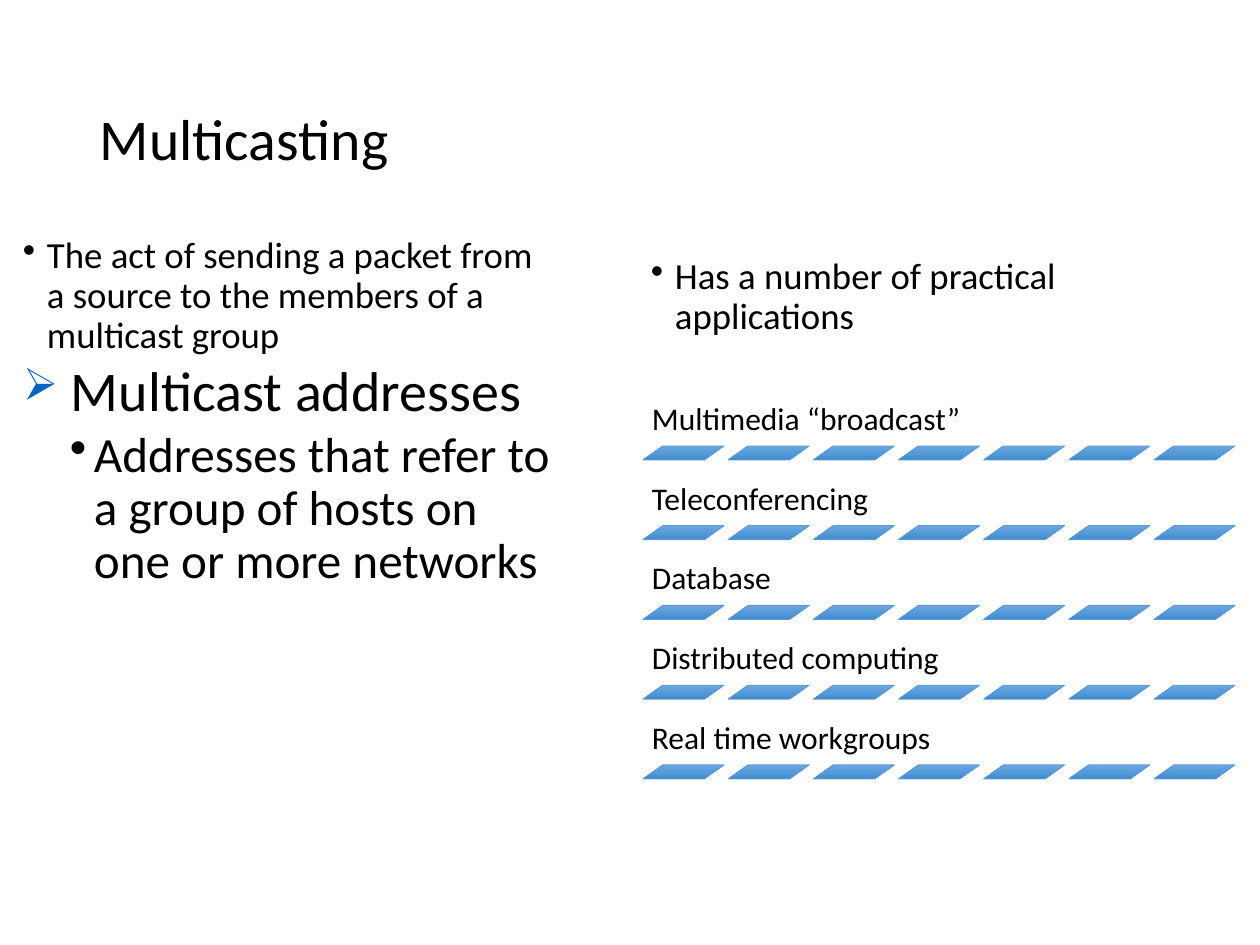
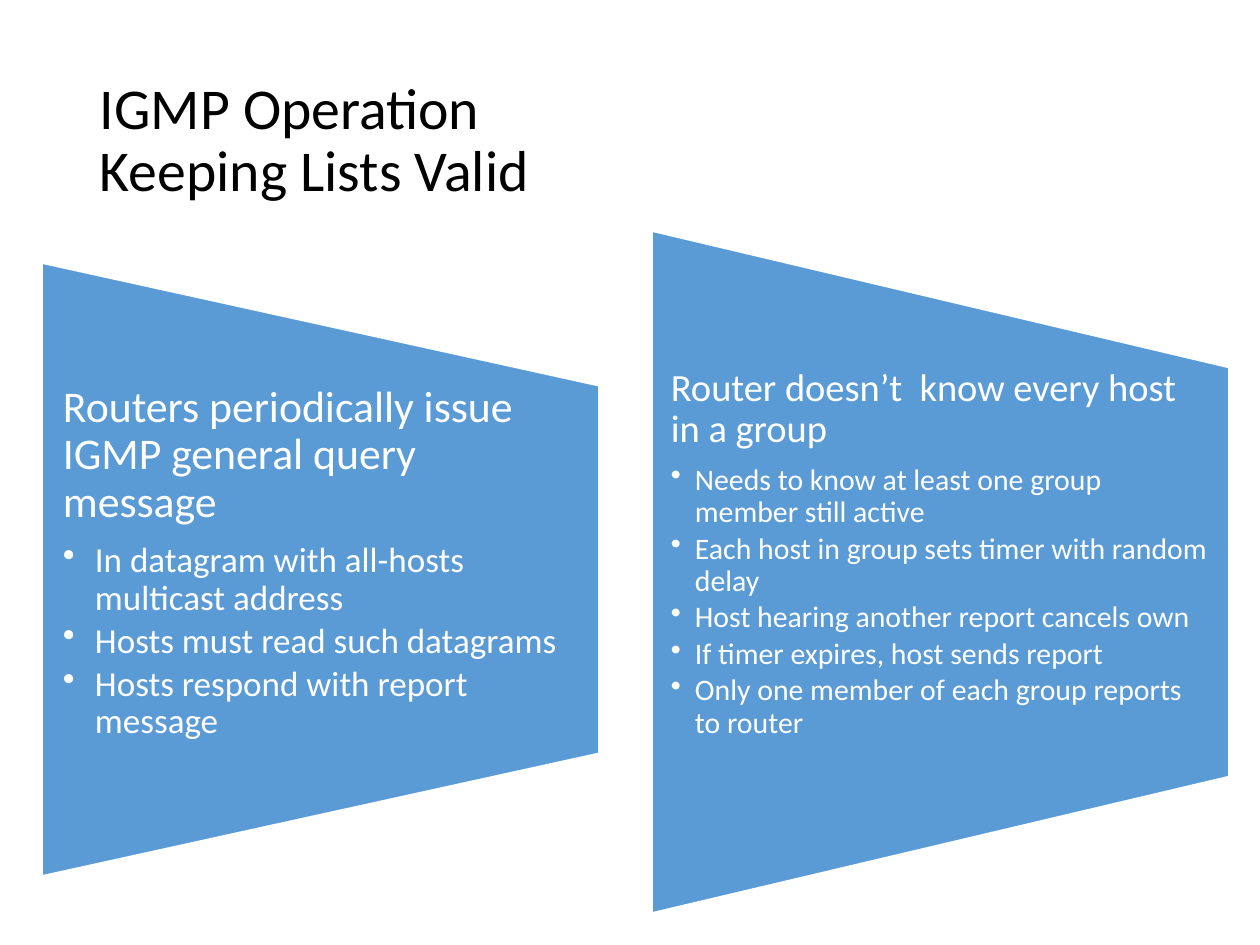
from copy import deepcopy

from lxml import etree
from pptx import Presentation
from pptx.dml.color import RGBColor
from pptx.enum.shapes import MSO_SHAPE
from pptx.enum.text import MSO_ANCHOR
from pptx.oxml.ns import qn
from pptx.util import Pt

TOP, MIDDLE, BOTTOM = MSO_ANCHOR.TOP, MSO_ANCHOR.MIDDLE, MSO_ANCHOR.BOTTOM
PARALLELOGRAM = MSO_SHAPE.PARALLELOGRAM
TRAPEZOID = MSO_SHAPE.FLOWCHART_MANUAL_OPERATION

BLACK = RGBColor(0x00, 0x00, 0x00)
WHITE = RGBColor(0xFF, 0xFF, 0xFF)
BLUE = RGBColor(0x5B, 0x9B, 0xD5)
ARROW_BLUE = RGBColor(0x05, 0x63, 0xC1)
DASH_GRADIENT = [
    (0, RGBColor(0x71, 0xA6, 0xDB)),
    (0.5, RGBColor(0x55, 0x9B, 0xDB)),
    (1, RGBColor(0x44, 0x8A, 0xCA)),
]
FONT = "Calibri"
PX = 914400 / 126  # EMU per px

# Content
MULTICASTING_TITLE = ["Multicasting"]
DEFINITION = [
    dict(text="The act of sending a packet from a source to the members of a multicast group",
         size=21, bullet="•", left=24, hang=24),
    dict(text="Multicast addresses", size=32, before=3.8, bullet="➢", left=48, hang=48,
         bullet_color=ARROW_BLUE, bullet_size=80),
    dict(text="Addresses that refer to a group of hosts on one or more networks",
         size=28.1, before=3.8, bullet="•", left=71, hang=24),
]
APPLICATIONS_LEAD = [
    dict(text="Has a number of practical applications", size=21, bullet="•", left=24, hang=24),
]
APPLICATIONS = ["Multimedia “broadcast”", "Teleconferencing", "Database",
                "Distributed computing", "Real time workgroups"]

IGMP_TITLE = ["IGMP Operation", "Keeping Lists Valid"]
PANELS = [
    dict(box=(42, 263, 557, 613), text_box=(42, 385, 557, 368), inset=21, hang=32,
         head="Routers periodically issue IGMP general query message", head_size=25,
         points=["In datagram with all-hosts multicast address",
                 "Hosts must read such datagrams",
                 "Hosts respond with report message"],
         size=20),
    dict(box=(652, 231, 577, 682), text_box=(652, 368, 577, 409), inset=19, hang=24,
         head="Router doesn’t  know every host in a group", head_size=22,
         points=["Needs to know at least one group member still active",
                 "Each host in group sets timer with random delay",
                 "Host hearing another report cancels own",
                 "If timer expires, host sends report",
                 "Only one member of each group reports to router"],
         size=17),
]

# Layout
TITLE_BOX = (87, 50, 1086, 183)
DEFINITION_BOX = (10, 231, 557, 614)
LEAD_BOX = (638, 252, 535, 600)
LIST_LEFT, LIST_WIDTH = 643, 605
FIRST_DASH_TOP, LAST_DASH_TOP = 446, 765
LABEL_HEIGHT = 55
DASH_COUNT, DASH_WIDTH, DASH_HEIGHT = 7, 81, 14
LAST_DASH_LEFT = 1154


def px(n):
    return round(n * PX)


def add_bullet(p, char, left, hang, color=None, size=None):
    pPr = p._p.get_or_add_pPr()
    pPr.set("marL", str(px(left)))
    pPr.set("indent", str(-px(hang)))
    if color:
        clr = etree.SubElement(pPr, qn("a:buClr"))
        etree.SubElement(clr, qn("a:srgbClr")).set("val", str(color))
    if size:
        etree.SubElement(pPr, qn("a:buSzPct")).set("val", str(size * 1000))
    etree.SubElement(pPr, qn("a:buChar")).set("char", char)


def add_run(p, text, size, color):
    r = p.add_run()
    r.text = text
    r.font.name = FONT
    r.font.size = Pt(size)
    r.font.color.rgb = color


def add_text_frame(s, box, anchor=TOP, insets=(13, 6)):
    tf = s.shapes.add_textbox(*map(px, box)).text_frame
    tf.word_wrap = True
    tf.vertical_anchor = anchor
    tf.margin_left = tf.margin_right = px(insets[0])
    tf.margin_top = tf.margin_bottom = px(insets[1])
    return tf


def add_text(s, box, items, color=BLACK, **frame):
    tf = add_text_frame(s, box, **frame)
    for i, item in enumerate(items):
        p = tf.add_paragraph() if i else tf.paragraphs[0]
        p.line_spacing = 0.9
        p.space_before = Pt(item.get("before", 0))
        p.space_after = Pt(item.get("after", 0))
        if "bullet" in item:
            add_bullet(p, item["bullet"], item["left"], item["hang"],
                       item.get("bullet_color"), item.get("bullet_size"))
        add_run(p, item["text"], item["size"], color)


def add_title(s, lines):
    p = add_text_frame(s, TITLE_BOX, MIDDLE).paragraphs[0]
    p.line_spacing = 0.9
    for i, line in enumerate(lines):
        if i:
            p.add_line_break()
        add_run(p, line, 33, BLACK)


def add_shape(s, kind, box, line_color, line_width):
    sp = s.shapes.add_shape(kind, *map(px, box))
    sp.shadow.inherit = False
    sp.line.color.rgb = line_color
    sp.line.width = Pt(line_width)
    return sp


def add_dash(s, left, top):
    sp = add_shape(s, PARALLELOGRAM, (left, top, DASH_WIDTH, DASH_HEIGHT), BLUE, 0.5)
    sp.adjustments[0] = 1.41
    sp.fill.gradient()
    sp.fill.gradient_angle = 270
    stops = sp._element.spPr.find(".//" + qn("a:gsLst"))
    stops.insert(1, deepcopy(stops[0]))
    for stop, (position, color) in zip(sp.fill.gradient_stops, DASH_GRADIENT):
        stop.position = position
        stop.color.rgb = color


def add_applications(s):
    row_step = (LAST_DASH_TOP - FIRST_DASH_TOP) / (len(APPLICATIONS) - 1)
    dash_step = (LAST_DASH_LEFT - LIST_LEFT) / (DASH_COUNT - 1)
    for row, name in enumerate(APPLICATIONS):
        top = FIRST_DASH_TOP + row * row_step
        add_text(s, (LIST_LEFT, top - LABEL_HEIGHT, LIST_WIDTH, LABEL_HEIGHT),
                 [dict(text=name, size=18)], anchor=BOTTOM, insets=(9, 9))
        for i in range(DASH_COUNT):
            add_dash(s, LIST_LEFT + i * dash_step, top)


def add_panel(s, panel):
    """Add a trapezoid turned so that its wide side is on the left, with its text."""
    left, top, width, height = panel["box"]
    shift = (width - height) / 2
    sp = add_shape(s, TRAPEZOID, (left + shift, top - shift, height, width), WHITE, 1)
    sp.rotation = 270
    sp.fill.solid()
    sp.fill.fore_color.rgb = BLUE
    head_size, size, hang = panel["head_size"], panel["size"], panel["hang"]
    items = [dict(text=panel["head"], size=head_size, after=head_size * 0.35)]
    items += [dict(text=point, size=size, after=size * 0.15, bullet="•", left=hang, hang=hang)
              for point in panel["points"]]
    add_text(s, panel["text_box"], items, WHITE, insets=(panel["inset"], 0))


def main():
    prs = Presentation()
    prs.slide_width, prs.slide_height = px(1260), px(945)
    blank = prs.slide_layouts[6]

    s = prs.slides.add_slide(blank)
    add_title(s, MULTICASTING_TITLE)
    add_text(s, DEFINITION_BOX, DEFINITION)
    add_text(s, LEAD_BOX, APPLICATIONS_LEAD)
    add_applications(s)

    s = prs.slides.add_slide(blank)
    add_title(s, IGMP_TITLE)
    for panel in PANELS:
        add_panel(s, panel)

    prs.save("out.pptx")


if __name__ == "__main__":
    main()
